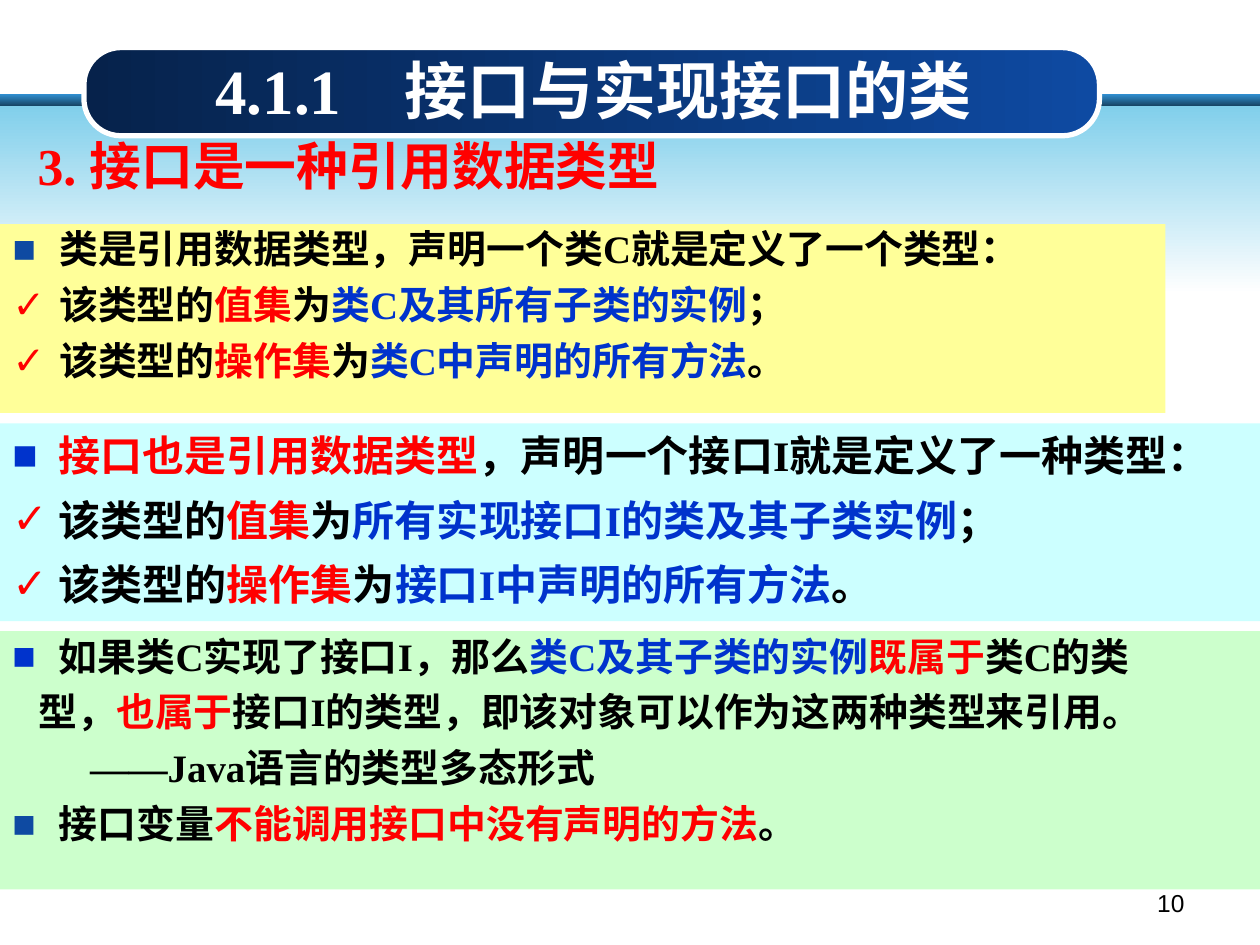
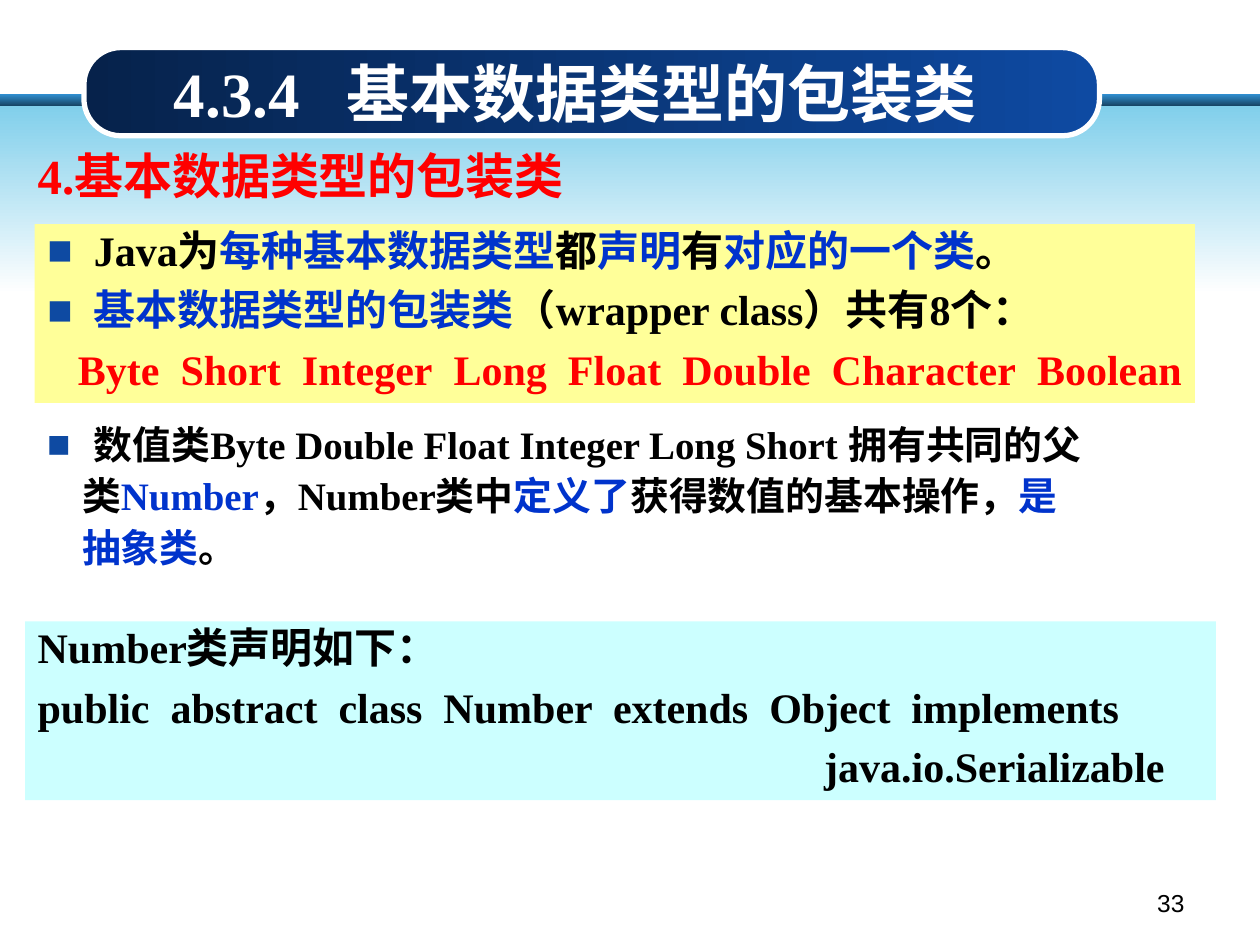
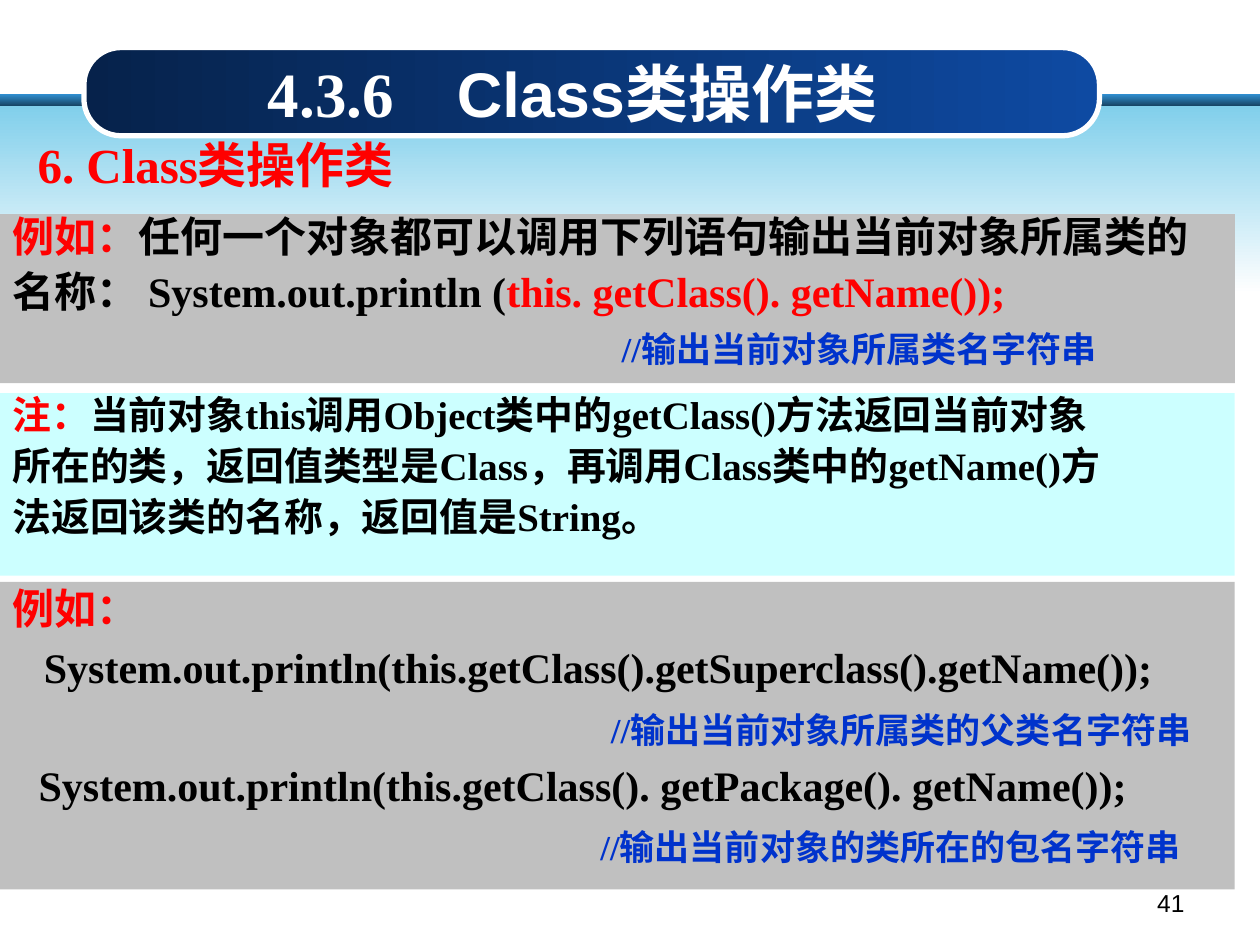
"""Build three lecture slides on interfaces, wrapper classes and the Class class."""
from dataclasses import dataclass

from lxml.etree import SubElement
from pptx import Presentation
from pptx.dml.color import RGBColor
from pptx.enum.shapes import MSO_SHAPE as Preset
from pptx.enum.text import MSO_ANCHOR as Anchor, MSO_AUTO_SIZE as AutoSize, PP_ALIGN as Align
from pptx.oxml.ns import qn
from pptx.util import Pt

COLORS = {
    "white": "FFFFFF", "black": "000000", "red": "FF0000", "blue": "0033CC",
    "navy": "06224B", "royal": "0E4AA2", "stripe_top": "3191D3",
    "stripe_bottom": "174362", "sky": "81CFEB", "yellow": "FFFF99",
    "cyan": "CCFFFF", "green": "CCFFCC", "gray": "C0C0C0",
}
SERIF, SANS, CHINESE = "Times New Roman", "Arial", "Noto Sans CJK SC"
HANG = 26.64
WRAPPERS = ("Byte", "Short", "Integer", "Long", "Float", "Double", "Character", "Boolean")


@dataclass
class Line:
    """One paragraph: coloured spans with an optional bullet and indent."""
    spans: tuple
    bullet: str = ""
    bullet_color: str = "royal"
    indent: float = 0
    size: float = 0
    before: float = 8


def rgb(name):
    """Return the named colour."""
    return RGBColor.from_string(COLORS[name])


def red(text):
    """Return a red span."""
    return text, "red"


def blue(text):
    """Return a blue span."""
    return text, "blue"


def plain(*spans, **options):
    """Return a line without a bullet."""
    return Line(spans, **options)


def square(*spans, color="royal"):
    """Return a line with a square bullet."""
    return Line(spans, bullet="■", bullet_color=color)


def check(*spans):
    """Return a line with a red check mark."""
    return Line(spans, bullet="✓", bullet_color="red")


def comment(text, indent):
    """Return an indented code comment."""
    return Line((blue(text),), indent=indent, size=20, before=11.5)


def spread(words):
    """Return red words with separate spaces between them."""
    spans = [red(words[0])]
    for word in words[1:]:
        spans += [red(" "), red(word)]
    return spans


def points(values):
    """Convert numbers to point lengths."""
    return [Pt(value) for value in values]


def place(shape, frame):
    """Move and size a shape."""
    shape.left, shape.top, shape.width, shape.height = points(frame)


def add_tab(para, stop):
    """Add a left tab stop to a paragraph."""
    tab_list = SubElement(para._p.get_or_add_pPr(), qn("a:tabLst"))
    SubElement(tab_list, qn("a:tab"), pos=str(Pt(stop)), algn="l")


def add_bullet(para, line):
    """Set the indents and the bullet of a paragraph."""
    props = para._p.get_or_add_pPr()
    props.set("marL", str(Pt(HANG if line.bullet else 0)))
    props.set("indent", str(Pt(-HANG if line.bullet else line.indent)))
    if not line.bullet:
        SubElement(props, qn("a:buNone"))
        return
    color = SubElement(props, qn("a:buClr"))
    SubElement(color, qn("a:srgbClr"), val=COLORS[line.bullet_color])
    SubElement(props, qn("a:buFont"), typeface=SANS)
    SubElement(props, qn("a:buChar"), char=line.bullet)


def style(para, size, bold=True, font=SERIF):
    """Set the font of a whole paragraph."""
    para.font.name = font
    para.font.size = Pt(size)
    para.font.bold = bold


def add_span(para, text, color, font=None):
    """Add a coloured run, widening a lone space by six points."""
    span = para.add_run()
    span.text = text
    span.font.color.rgb = rgb(color)
    if font:
        span.font.name = font
    if text == " ":
        span._r.get_or_add_rPr().set("spc", "600")


def prepare(box, anchor=Anchor.TOP):
    """Return the text frame of a box, wrapped and with a fixed size."""
    text = box.text_frame
    text.word_wrap = True
    text.auto_size = AutoSize.NONE
    text.vertical_anchor = anchor
    return text


def write_lines(box, lines, size, spacing):
    """Fill a box with lines of text."""
    text = prepare(box)
    for number, line in enumerate(lines):
        para = text.add_paragraph() if number else text.paragraphs[0]
        para.alignment = Align.LEFT
        para.line_spacing = spacing
        para.space_before = Pt(line.before if number else 0)
        add_bullet(para, line)
        style(para, line.size or size)
        for span in line.spans:
            add_span(para, *((span, "black") if isinstance(span, str) else span))


def add_panel(slide, frame, fill, lines, size, spacing):
    """Add a filled rectangle with text."""
    box = slide.shapes.add_shape(Preset.RECTANGLE, *points(frame))
    box.shadow.inherit = False
    box.line.fill.background()
    box.fill.solid()
    box.fill.fore_color.rgb = rgb(fill)
    write_lines(box, lines, size, spacing)


def add_text(slide, frame, lines, size, spacing):
    """Add a text box."""
    write_lines(slide.shapes.add_textbox(*points(frame)), lines, size, spacing)


def fill_body(slide, frame, fill, lines, size, spacing):
    """Fill the body placeholder."""
    body = slide.placeholders[1]
    place(body, frame)
    body.fill.solid()
    body.fill.fore_color.rgb = rgb(fill)
    write_lines(body, lines, size, spacing)


def fill_title(slide, frame, inset, tab, number, name):
    """Write the section number and name in the title placeholder."""
    place(slide.shapes.title, frame)
    text = prepare(slide.shapes.title, Anchor.BOTTOM)
    text.margin_left = Pt(inset)
    para = text.paragraphs[0]
    para.alignment = Align.LEFT
    add_tab(para, tab)
    style(para, 36)
    add_span(para, f"{number}\t", "white")
    add_span(para, name, "white", SANS)


def add_page_number(slide, number):
    """Add the page number at the lower right."""
    box = slide.shapes.add_textbox(*points((516.24, 504, 167.76, 25.2)))
    para = prepare(box).paragraphs[0]
    para.alignment = Align.RIGHT
    style(para, 14, False, SANS)
    add_span(para, str(number), "black")


def add_band(slide, layout, preset, frame, colors, angle):
    """Add a gradient band to the layout and return it."""
    band = slide.shapes.add_shape(preset, *points(frame))
    band.shadow.inherit = False
    band.line.fill.background()
    band.fill.gradient()
    band.fill.gradient_angle = angle
    for stop, color in zip(band.fill.gradient_stops, colors):
        stop.color.rgb = rgb(color)
    layout.shapes.element.append(band.element)
    return band


def decorate(slide, layout):
    """Put the shared bands and the title capsule on the layout."""
    for holder in list(layout.placeholders):
        if holder.placeholder_format.idx >= 10:
            layout.shapes.element.remove(holder.element)
    add_band(slide, layout, Preset.RECTANGLE, (0, 53.7, 720, 7),
             ("stripe_top", "stripe_bottom"), 270)
    add_band(slide, layout, Preset.RECTANGLE, (0, 60.5, 720, 107.3),
             ("sky", "white"), 270)
    capsule = add_band(slide, layout, Preset.ROUNDED_RECTANGLE,
                       (48, 27.2, 580.3, 50.4), ("navy", "royal"), 0)
    capsule.adjustments[0] = 0.42
    capsule.line.color.rgb = rgb("white")
    capsule.line.width = Pt(3)


def build_interface_slide(slide):
    """Interfaces as reference types."""
    fill_title(slide, (115.9, 25.9, 447.8, 50.4), 7.2, 108, "4.1.1", "接口与实现接口的类")
    add_text(slide, (14.4, 82.8, 425.5, 33.8),
             [plain(red("3. 接口是一种引用数据类型"))], 29.6, 0.7)
    fill_body(slide, (0, 128, 666, 108), "yellow", [
        square("类是引用数据类型，声明一个类C就是定义了一个类型："),
        check("该类型的", red("值集"), "为", blue("类C及其所有子类的实例"), "；"),
        check("该类型的", red("操作集"), "为", blue("类C中声明的所有方法"), "。"),
    ], 22.2, 0.9)
    add_panel(slide, (0, 242, 720, 113), "cyan", [
        square(red("接口也是引用数据类型"), "，声明一个接口I就是定义了一种类型：", color="blue"),
        check("该类型的", red("值集"), "为", blue("所有实现接口I的类及其子类实例"), "；"),
        check("该类型的", red("操作集"), "为", blue("接口I中声明的所有方法"), "。"),
    ], 24, 1.0)
    add_panel(slide, (0, 360.7, 720, 147.6), "green", [
        square("如果类C实现了接口I，那么", blue("类C及其子类的实例"), red("既属于"),
               "类C的类", color="blue"),
        plain("型，", red("也属于"), "接口I的类型，即该对象可以作为这两种类型来引用。",
              indent=15),
        plain("——Java语言的类型多态形式", indent=44.4),
        square("接口变量", red("不能调用接口中没有声明的方法"), "。"),
    ], 22.2, 0.9)
    add_page_number(slide, 10)


def build_wrapper_slide(slide):
    """Wrapper classes of the basic types."""
    fill_title(slide, (76.3, 25.9, 504.7, 51.8), 23, 98.5, "4.3.4", "基本数据类型的包装类")
    add_text(slide, (14.4, 86, 323.3, 39.6),
             [plain(red("4.基本数据类型的包装类"))], 28, 0.8)
    fill_body(slide, (19.8, 128, 663, 102.2), "yellow", [
        square("Java为", blue("每种基本数据类型"), "都", blue("声明"), "有",
               blue("对应的一个类"), "。"),
        square(blue("基本数据类型的包装类"), "（wrapper class）共有8个："),
        plain(*spread(WRAPPERS), indent=17.5),
    ], 24, 0.9)
    add_text(slide, (19.8, 242, 663, 102.2), [
        square("数值类Byte Double Float Integer Long Short 拥有共同的父"),
        plain("类", blue("Number"), "，Number类中", blue("定义了"),
              "获得数值的基本操作，", blue("是"), indent=20),
        plain(blue("抽象类"), "。", indent=20),
    ], 22.2, 0.8)
    add_panel(slide, (14.4, 355, 680.4, 102.2), "cyan", [
        plain("Number类声明如下："),
        plain("public  abstract  class  Number  extends  Object  implements"),
        plain("java.io.Serializable", indent=449.5),
    ], 24, 0.9)
    add_page_number(slide, 33)


def build_class_slide(slide):
    """Calls on the Class class."""
    fill_title(slide, (93.6, 25.9, 475.9, 51.8), 59.5, 108, "4.3.6", "Class类操作类")
    add_text(slide, (14.4, 77, 244, 39.6), [plain(red("6. Class类操作类"))], 28, 0.9)
    fill_body(slide, (0, 122.4, 705.6, 96.5), "gray", [
        plain(red("例如："), "任何一个对象都可以调用下列语句输出当前对象所属类的"),
        plain("名称： System.out.println (", red("this. getClass(). getName());")),
        comment("//输出当前对象所属类名字符串", 348),
    ], 24, 0.8)
    add_panel(slide, (0, 332.6, 705.6, 175.7), "gray", [
        plain(red("例如：")),
        plain("System.out.println(this.getClass().getSuperclass().getName());", indent=18),
        comment("//输出当前对象所属类的父类名字符串", 342),
        plain("System.out.println(this.getClass(). getPackage(). getName());", indent=15),
        comment("//输出当前对象的类所在的包名字符串", 336),
    ], 24, 0.9)
    add_panel(slide, (0, 224.6, 705.6, 104.4), "cyan", [
        plain(red("注："), "当前对象this调用Object类中的getClass()方法返回当前对象"),
        plain("所在的类，返回值类型是Class，再调用Class类中的getName()方"),
        plain("法返回该类的名称，返回值是String。"),
    ], 22.2, 0.8)
    add_page_number(slide, 41)


def main():
    """Build and save the deck."""
    deck = Presentation()
    deck.slide_width, deck.slide_height = Pt(720), Pt(540)
    for root in (deck.element, deck.slide_master.element):
        for east_asian in root.iter(qn("a:ea")):
            east_asian.set("typeface", CHINESE)
    layout = deck.slide_layouts[1]
    builders = (build_interface_slide, build_wrapper_slide, build_class_slide)
    slides = [deck.slides.add_slide(layout) for _ in builders]
    decorate(slides[0], layout)
    for build, slide in zip(builders, slides):
        build(slide)
    deck.save("out.pptx")


if __name__ == "__main__":
    main()
